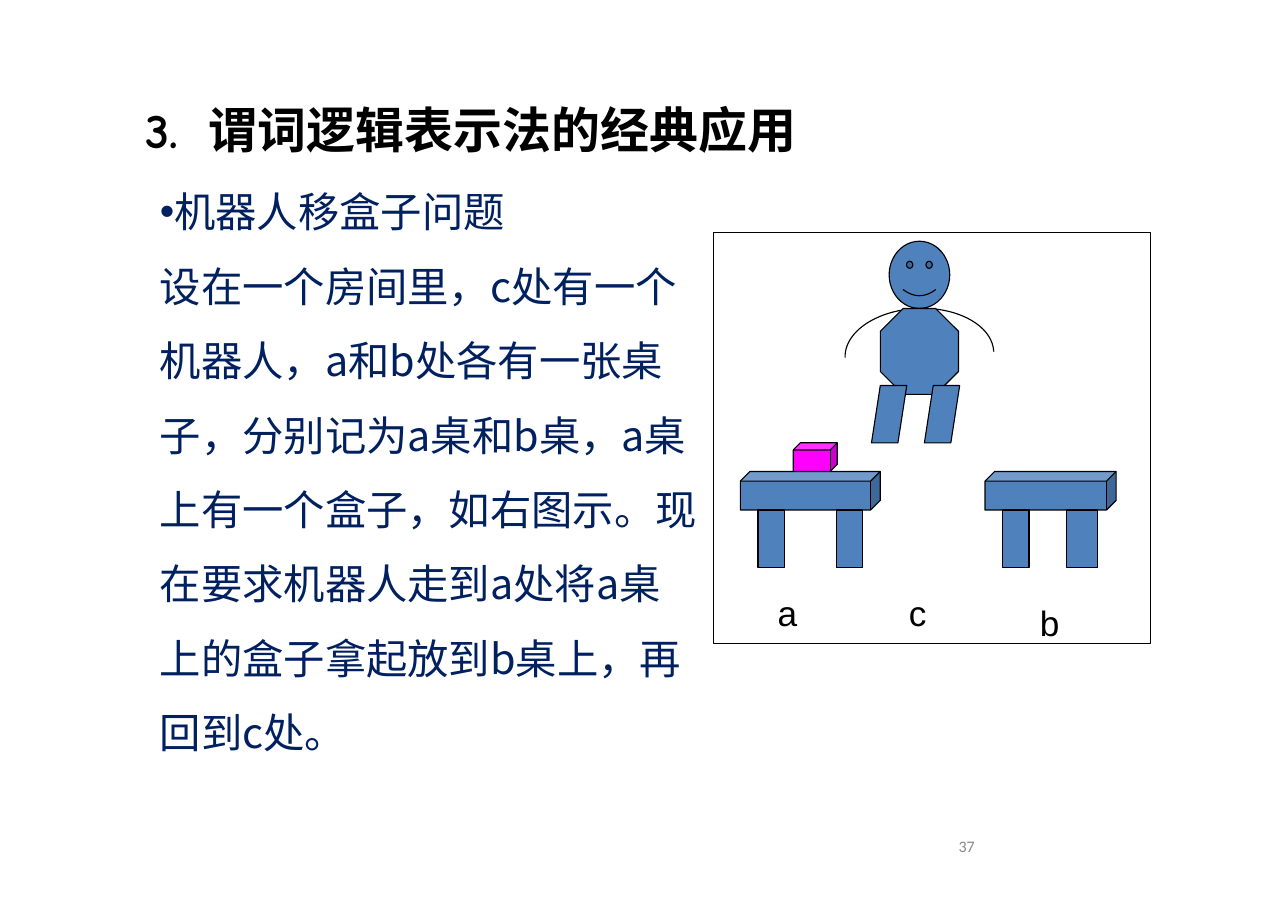
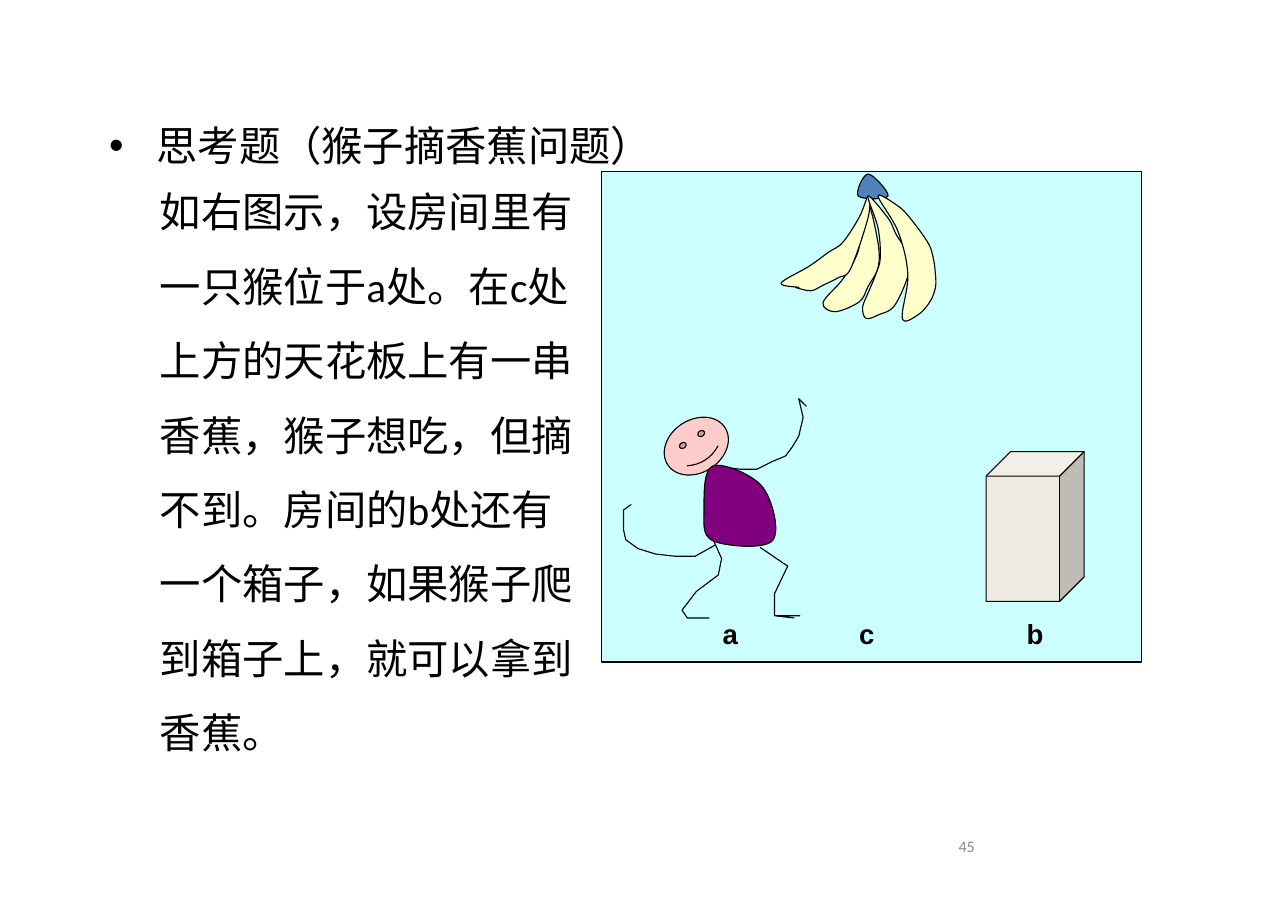
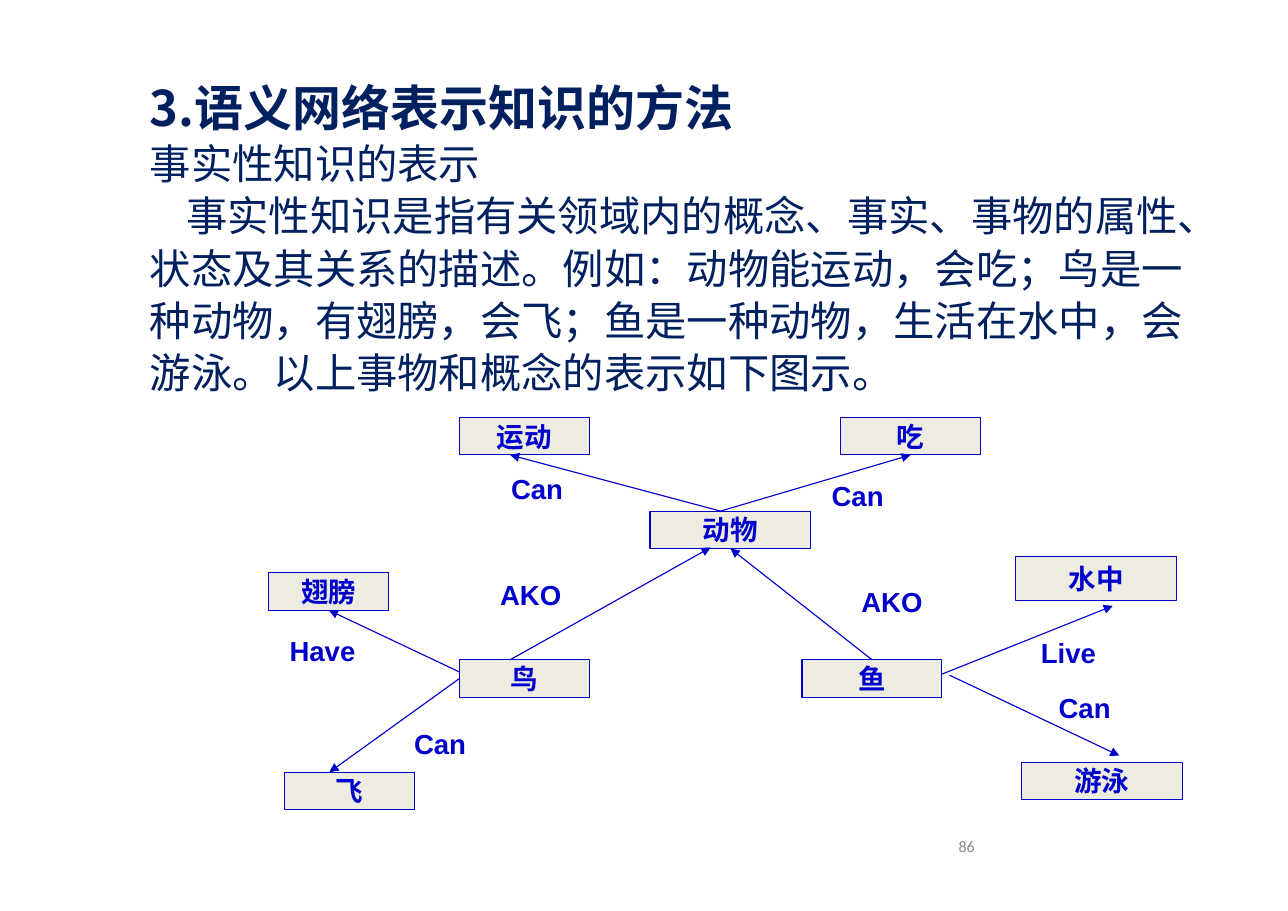
from dataclasses import dataclass

from lxml.etree import SubElement
from pptx import Presentation
from pptx.dml.color import RGBColor
from pptx.enum.shapes import MSO_CONNECTOR, MSO_SHAPE as Preset
from pptx.enum.text import MSO_ANCHOR as Anchor, MSO_AUTO_SIZE as AutoSize, PP_ALIGN as Align
from pptx.oxml.ns import qn
from pptx.util import Inches, Pt


@dataclass(frozen=True)
class Theme:
    black: str = "000000"
    white: str = "FFFFFF"
    navy: str = "002060"
    link_blue: str = "0000CC"
    steel: str = "4F81BD"
    magenta: str = "FF00FF"
    sky: str = "CCFFFF"
    pink: str = "FFCCCC"
    banana: str = "FFFFCC"
    purple: str = "800080"
    stone: str = "EEECE1"
    grey: str = "898989"
    asian: str = "Noto Sans CJK SC"
    comic: str = "Comic Neue"
    calibri: str = "Calibri"
    arial: str = "Arial"
    heading_size: float = 32
    body_size: float = 27
    place_size: float = 23
    label_size: float = 18
    number_size: float = 10.5
    line_width: float = 0.75
    tight_lines: float = 34.2
    wide_lines: float = 48.6


THEME = Theme()


@dataclass(frozen=True)
class TextStyle:
    font: str
    size: float
    color: str = THEME.black
    bold: bool = False
    spacing: float = 0
    align: Align = Align.LEFT


PAGE_NUMBER = TextStyle(THEME.calibri, THEME.number_size, THEME.grey)
PLACE = TextStyle(THEME.arial, THEME.place_size)
BOLD_PLACE = TextStyle(THEME.arial, THEME.label_size, bold=True)
RELATION = TextStyle(THEME.arial, THEME.label_size, THEME.link_blue, True)
CONCEPT = TextStyle(THEME.arial, THEME.label_size, THEME.link_blue, True, align=Align.CENTER)


def format_paragraph(paragraph, style, margin=0, indent=0, bullet=False):
    properties = paragraph._p.get_or_add_pPr()
    properties.set("marL", str(Inches(margin)))
    properties.set("indent", str(Inches(indent)))
    if bullet:
        SubElement(properties, qn("a:buFont"), typeface=THEME.arial)
        SubElement(properties, qn("a:buChar"), char="•")
    else:
        SubElement(properties, qn("a:buNone"))
    paragraph.alignment = style.align
    paragraph.space_before = Pt(0)
    if style.spacing:
        paragraph.line_spacing = Pt(style.spacing)
    font = paragraph.font
    font.name, font.size, font.bold = style.font, Pt(style.size), style.bold
    font.color.rgb = RGBColor.from_string(style.color)
    SubElement(properties.find(qn("a:defRPr")), qn("a:ea"), typeface=THEME.asian)


def set_frame(frame, insets=(0.11, 0.06), anchor=Anchor.TOP, wrap=True):
    frame.auto_size = AutoSize.NONE
    frame.word_wrap = wrap
    frame.vertical_anchor = anchor
    frame.margin_left = frame.margin_right = Inches(insets[0])
    frame.margin_top = frame.margin_bottom = Inches(insets[1])


def add_text(slide, box, paragraphs, style, insets=(0.11, 0.06)):
    """Each paragraph is a text and its keyword options for format_paragraph."""
    frame = slide.shapes.add_textbox(*map(Inches, box)).text_frame
    set_frame(frame, insets)
    for index, (text, options) in enumerate(paragraphs):
        paragraph = frame.add_paragraph() if index else frame.paragraphs[0]
        paragraph.text = text
        format_paragraph(paragraph, style, **options)


def add_label(slide, box, text, style):
    add_text(slide, box, [(text, {})], style, (0.1, 0.05))


def add_slide(presentation, title, box, style, number, **options):
    slide = presentation.slides.add_slide(presentation.slide_layouts[5])
    heading = slide.shapes.title
    heading.left, heading.top, heading.width, heading.height = map(Inches, box)
    set_frame(heading.text_frame)
    paragraph = heading.text_frame.paragraphs[0]
    paragraph.text = title
    format_paragraph(paragraph, style, **options)
    add_text(slide, (8.59, 7.53, 2.44, 0.55), [(number, {})], PAGE_NUMBER)
    return slide


def paint(shape, fill, line=THEME.black):
    shape.shadow.inherit = False
    if fill:
        shape.fill.solid()
        shape.fill.fore_color.rgb = RGBColor.from_string(fill)
    else:
        shape.fill.background()
    shape.line.color.rgb = RGBColor.from_string(line)
    shape.line.width = Pt(THEME.line_width)
    return shape


def add_preset(slide, preset, box, fill, line=THEME.black):
    return paint(slide.shapes.add_shape(preset, *map(Inches, box)), fill, line)


def add_outline(slide, origin, points, fill=None, closed=False):
    placed = [(Inches(origin[0] + x), Inches(origin[1] + y)) for x, y in points]
    builder = slide.shapes.build_freeform(*placed[0])
    builder.add_line_segments(placed[1:], close=closed)
    return paint(builder.convert_to_shape(), fill)


def add_blob(slide, origin, knots, fill):
    """A closed outline whose sides are bent into a smooth curve through the knots."""
    shape = add_outline(slide, origin, knots, fill, closed=True)
    outline = next(shape._element.iter(qn("a:path")))
    points = [(int(point.get("x")), int(point.get("y"))) for point in outline.iter(qn("a:pt"))]
    points = points[:len(knots)]
    for side in list(outline)[1:]:
        outline.remove(side)
    count = len(points)
    for index in range(count):
        before, start, end, after = (points[(index + step) % count] for step in (-1, 0, 1, 2))
        leave = [s + (e - b) / 6 for b, s, e in zip(before, start, end)]
        arrive = [e - (a - s) / 6 for s, e, a in zip(start, end, after)]
        curve = SubElement(outline, qn("a:cubicBezTo"))
        for x, y in (leave, arrive, end):
            SubElement(curve, qn("a:pt"), x=str(round(x)), y=str(round(y)))
    SubElement(outline, qn("a:close"))


def shift(origin, left, top, width, height):
    return origin[0] + left, origin[1] + top, width, height


def draw_table(slide, box, legs):
    """A table top in the box, with legs given as (offset, width)."""
    left, top, _, height = box
    add_preset(slide, Preset.CUBE, box, THEME.steel)
    for offset, width in legs:
        add_preset(slide, Preset.RECTANGLE, (left + offset, top + height, width, 0.52), THEME.steel)


def draw_robot(slide, origin):
    add_preset(slide, Preset.SMILEY_FACE, shift(origin, 0.16, 0, 0.55, 0.61), THEME.steel)
    arms = add_preset(slide, Preset.ARC, shift(origin, -0.24, 0.61, 1.35, 0.84), None)
    arms.adjustments[0], arms.adjustments[1] = 108, 0
    arms.rotation = -2.3
    add_preset(slide, Preset.OCTAGON, shift(origin, 0.08, 0.61, 0.71, 0.78), THEME.steel)
    for left in (0, 0.48):
        add_preset(slide, Preset.PARALLELOGRAM, shift(origin, left, 1.31, 0.32, 0.52), THEME.steel)


def draw_robot_room(slide, box):
    add_preset(slide, Preset.RECTANGLE, box, THEME.white)
    draw_robot(slide, (box[0] + 1.43, box[1] + 0.08))
    draw_table(slide, shift(box, 0.24, 2.17, 1.27, 0.35), [(0.16, 0.24), (0.87, 0.24)])
    draw_table(slide, shift(box, 2.46, 2.17, 1.19, 0.35), [(0.16, 0.24), (0.74, 0.28)])
    add_preset(slide, Preset.CUBE, shift(box, 0.72, 1.91, 0.4, 0.26), THEME.magenta)
    for text, left, top in (("a", 0.48, 3.21), ("b", 2.86, 3.3), ("c", 1.67, 3.21)):
        add_label(slide, shift(box, left, top, 0.4, 0.49), text, PLACE)


MONKEY_LIMBS = {
    "tail": [(1.03, 3.39), (0.85, 3.49), (0.67, 3.49), (0.49, 3.47), (0.33, 3.42),
             (0.22, 3.34), (0.2, 3.25), (0.2, 3.07), (0.27, 3.02)],
    "left leg": [(1, 3.31), (1.09, 3.51), (1.06, 3.66), (0.86, 3.81), (0.73, 3.98),
                 (0.78, 4.05), (0.98, 4.05)],
    "right leg": [(1.44, 3.41), (1.69, 3.58), (1.57, 3.83), (1.57, 4.03), (1.8, 4.03),
                  (1.57, 4.03), (1.75, 4.05)],
    "arm": [(1.09, 2.68), (1.26, 2.7), (1.41, 2.7), (1.55, 2.63), (1.67, 2.58),
            (1.73, 2.5), (1.79, 2.4), (1.83, 2.23), (1.79, 2.06), (1.86, 2.13)],
}
MONKEY_BODY = [(1.01, 2.67), (0.93, 3.06), (1.01, 3.35), (1.55, 3.35), (1.46, 2.86)]
STEM = [(2.42, 0.02), (2.33, 0.22), (2.6, 0.22)]
BACK_BANANA = [(2.42, 0.3), (2.35, 0.6), (2.33, 0.72), (2.26, 0.87), (2.17, 1), (2.01, 1.19),
               (2.12, 1.27), (2.34, 1.18), (2.42, 1.04), (2.51, 0.87), (2.51, 0.65)]
FRONT_BANANAS = [
    [(2.42, 0.22), (2.34, 0.41), (2.19, 0.64), (2.06, 0.73), (1.88, 0.86), (1.63, 1.01),
     (1.79, 1.05), (1.76, 1.05), (1.9, 1.08), (2.01, 1.03), (2.15, 0.96), (2.26, 0.88),
     (2.42, 0.41)],
    [(2.42, 0.22), (2.51, 0.51), (2.53, 0.78), (2.49, 0.93), (2.42, 1.1), (2.37, 1.23),
     (2.4, 1.33), (2.51, 1.3), (2.67, 1.2), (2.8, 0.83), (2.67, 0.56), (2.6, 0.42)],
    [(2.51, 0.22), (2.69, 0.54), (2.78, 0.93), (2.73, 1.33), (2.87, 1.3), (2.98, 1.18),
     (3.03, 1.05), (3.03, 0.93), (3.01, 0.78), (2.96, 0.64), (2.8, 0.42), (2.69, 0.31)],
]


def draw_monkey_room(slide, box):
    origin = box[:2]
    add_preset(slide, Preset.RECTANGLE, box, THEME.sky)
    head = add_preset(slide, Preset.SMILEY_FACE, shift(box, 0.55, 2.25, 0.62, 0.48), THEME.pink)
    head.rotation = 327.1
    for points in MONKEY_LIMBS.values():
        add_outline(slide, origin, points)
    blobs = [(MONKEY_BODY, THEME.purple), (BACK_BANANA, THEME.banana), (STEM, THEME.steel)]
    blobs += [(knots, THEME.banana) for knots in FRONT_BANANAS]
    for knots, fill in blobs:
        add_blob(slide, origin, knots, fill)
    add_preset(slide, Preset.CUBE, shift(box, 3.49, 2.54, 0.89, 1.36), THEME.stone)
    for text, left in (("a", 1), ("b", 3.76), ("c", 2.24)):
        add_label(slide, shift(box, left, 3.99, 0.6, 0.4), text, BOLD_PLACE)


CONCEPTS = {
    "动物": (3.46, 0.85, 1.46, 0.34), "吃": (5.19, 0, 1.27, 0.34),
    "运动": (1.73, 0, 1.18, 0.34), "翅膀": (0, 1.41, 1.09, 0.34),
    "水中": (6.78, 1.26, 1.46, 0.4), "鸟": (1.73, 2.2, 1.18, 0.34),
    "鱼": (4.84, 2.2, 1.27, 0.34), "飞": (0.14, 3.22, 1.18, 0.34),
    "游泳": (6.83, 3.13, 1.46, 0.34),
}
# An end is a point, or a concept with the number of its side.
ARROWS = [
    ((4.1, 0.85), (2.19, 0.34)), ((4.1, 0.85), ("吃", 2)),
    ((2.19, 2.2), (4.01, 1.18)), (("鱼", 0), ("动物", 2)),
    ((1.73, 2.31), ("翅膀", 2)), (("鸟", 1), (0.55, 3.22)),
    ((6.11, 2.33), (7.66, 1.71)), ((6.18, 2.34), (7.72, 3.07)),
]
RELATIONS = [
    ("Can", 2.1, 0.45), ("Can", 5.01, 0.51), ("AKO", 2, 1.41), ("Live", 6.91, 1.93),
    ("Have", 0.09, 1.92), ("Can", 1.22, 2.76), ("AKO", 5.28, 1.47), ("Can", 7.07, 2.43),
]


def add_concept(slide, box, text):
    shape = add_preset(slide, Preset.RECTANGLE, box, THEME.stone, THEME.link_blue)
    set_frame(shape.text_frame, (0.1, 0.05), Anchor.MIDDLE, wrap=False)
    paragraph = shape.text_frame.paragraphs[0]
    paragraph.text = text
    format_paragraph(paragraph, CONCEPT)
    return shape


def add_arrow(slide, origin, start, end, nodes):
    def place(spot):
        if spot[0] in nodes:
            return 0, 0
        return Inches(origin[0] + spot[0]), Inches(origin[1] + spot[1])

    arrow = slide.shapes.add_connector(MSO_CONNECTOR.STRAIGHT, *place(start), *place(end))
    for spot, connect in ((start, arrow.begin_connect), (end, arrow.end_connect)):
        if spot[0] in nodes:
            connect(nodes[spot[0]], spot[1])
    arrow.line.color.rgb = RGBColor.from_string(THEME.link_blue)
    arrow.line.width = Pt(THEME.line_width)
    SubElement(arrow.line._get_or_add_ln(), qn("a:tailEnd"), type="triangle")
    SubElement(arrow._element.spPr, qn("a:effectLst"))


def draw_semantic_network(slide, origin):
    nodes = {text: add_concept(slide, shift(origin, *box), text) for text, box in CONCEPTS.items()}
    for start, end in ARROWS:
        add_arrow(slide, origin, start, end, nodes)
    for text, left, top in RELATIONS:
        add_label(slide, shift(origin, left, top, 1, 0.4), text, RELATION)


def build_robot_slide(presentation):
    style = TextStyle(THEME.comic, THEME.heading_size, bold=True, spacing=THEME.tight_lines)
    slide = add_slide(presentation, "3.\t谓词逻辑表示法的经典应用", (1.21, 0.9, 6.42, 0.6),
                      style, "37", margin=0.57, indent=-0.57)
    body = TextStyle(THEME.asian, THEME.body_size, THEME.navy, spacing=THEME.wide_lines)
    add_text(slide, (1.34, 1.41, 5.11, 5.6), [
        ("机器人移盒子问题", {"bullet": True}),
        ("设在一个房间里，c处有一个机器人，a和b处各有一张桌子，分别记为a桌和b桌，"
         "a桌上有一个盒子，如右图示。现在要求机器人走到a处将a桌上的盒子拿起放到b桌上，"
         "再回到c处。", {}),
    ], body)
    draw_robot_room(slide, (6.48, 2.11, 3.96, 3.73))


def build_monkey_slide(presentation):
    style = TextStyle(THEME.comic, THEME.body_size, spacing=THEME.tight_lines)
    slide = add_slide(presentation, "思考题（猴子摘香蕉问题）", (0.88, 1.01, 8.2, 0.59),
                      style, "45", margin=0.43, indent=-0.43, bullet=True)
    body = TextStyle(THEME.calibri, THEME.body_size, spacing=THEME.wide_lines)
    add_text(slide, (1.34, 1.41, 4.12, 5.6), [
        ("如右图示，设房间里有一只猴位于a处。在c处上方的天花板上有一串香蕉，猴子想吃，"
         "但摘不到。房间的b处还有一个箱子，如果猴子爬到箱子上，就可以拿到香蕉。", {}),
    ], body)
    draw_monkey_room(slide, (5.46, 1.56, 4.9, 4.45))


def build_network_slide(presentation):
    style = TextStyle(THEME.asian, THEME.heading_size, THEME.navy, True, THEME.tight_lines)
    slide = add_slide(presentation, "3.语义网络表示知识的方法", (1.25, 0.7, 9.84, 0.6),
                      style, "86")
    body = TextStyle(THEME.asian, THEME.body_size, THEME.navy, spacing=THEME.tight_lines)
    add_text(slide, (1.25, 1.17, 9.84, 2.5), [
        ("事实性知识的表示", {}),
        ("事实性知识是指有关领域内的概念、事实、事物的属性、状态及其关系的描述。"
         "例如：动物能运动，会吃；鸟是一种动物，有翅膀，会飞；鱼是一种动物，生活在水中，"
         "会游泳。以上事物和概念的表示如下图示。", {"indent": 0.33}),
    ], body)
    draw_semantic_network(slide, (2.44, 3.79))


def main():
    presentation = Presentation()
    presentation.slide_width, presentation.slide_height = Inches(11.69), Inches(8.27)
    build_robot_slide(presentation)
    build_monkey_slide(presentation)
    build_network_slide(presentation)
    presentation.save("out.pptx")


if __name__ == "__main__":
    main()
